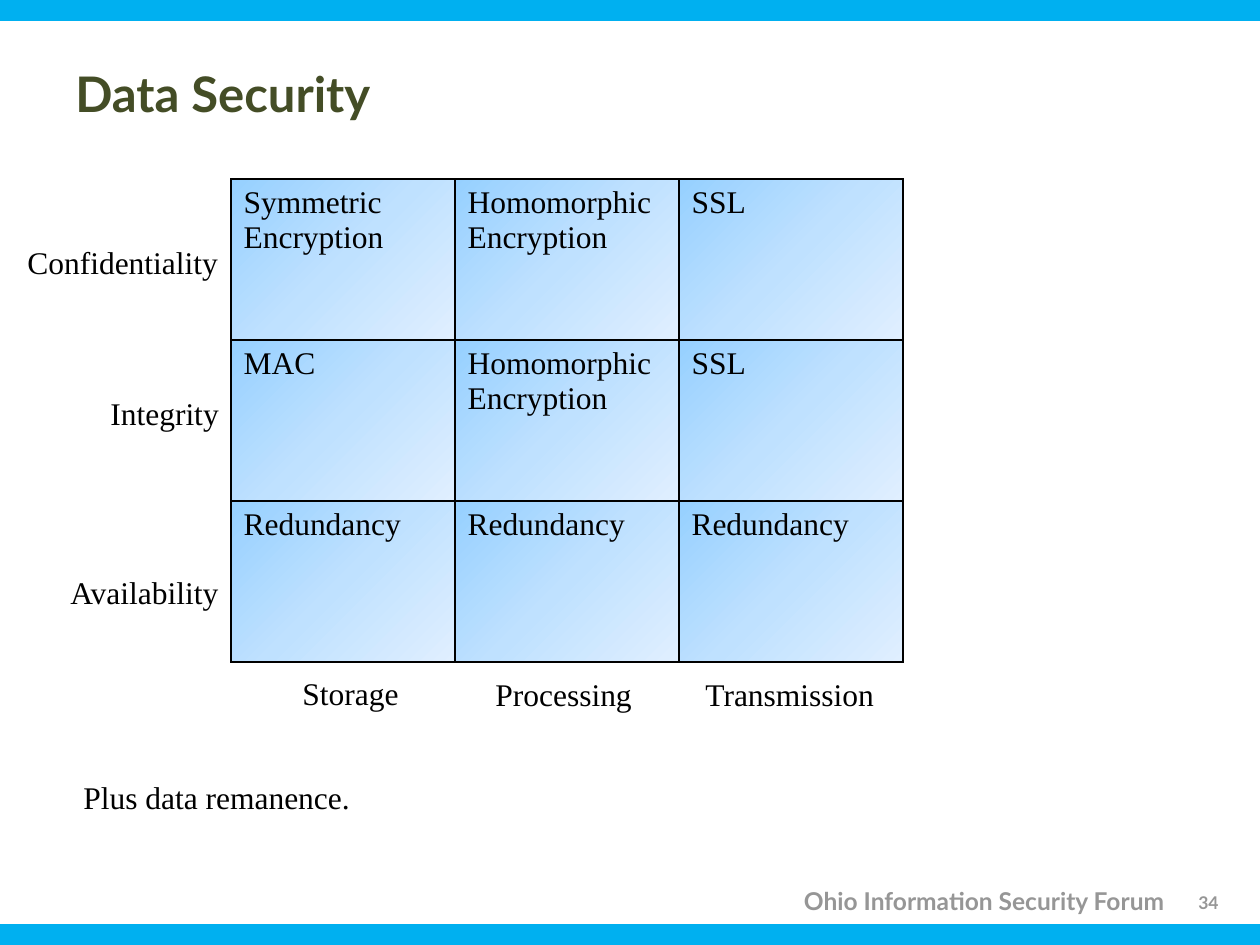
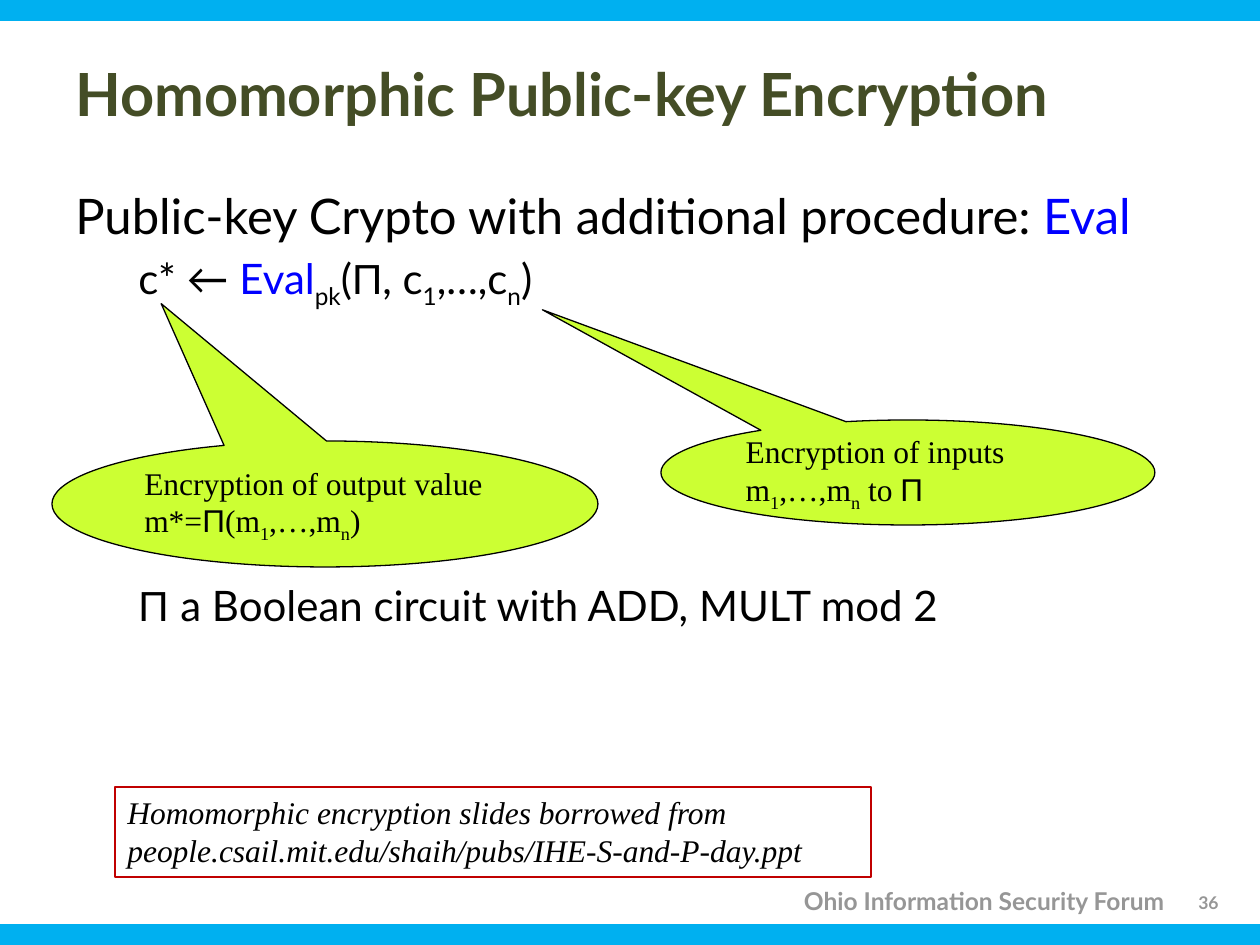
from dataclasses import dataclass, replace
from typing import NamedTuple, Optional, Sequence

from pptx import Presentation
from pptx.dml.color import RGBColor
from pptx.enum.shapes import MSO_SHAPE as Shape
from pptx.enum.text import MSO_ANCHOR as Anchor, PP_ALIGN as Align
from pptx.oxml import parse_xml
from pptx.oxml.ns import nsdecls
from pptx.util import Emu, Pt

PX_PER_INCH = 126
SUBSCRIPT = "-25000"


def px(length: int) -> Emu:
    return Emu(round(length * 914400 / PX_PER_INCH))


# Theme
@dataclass(frozen=True)
class TextStyle:
    size: int
    font: str
    color: str
    bold: bool = False
    italic: bool = False


@dataclass(frozen=True)
class Theme:
    band: str = "00B0F0"
    callout: str = "CCFF33"
    ink: str = "000000"
    accent: str = "0000FF"
    source_line: str = "C00000"
    cell_stops: tuple = ((0, "96D0FF"), (50, "BFE1FF"), (100, "E0EFFF"))
    cell_angle: int = 45
    symbol_font: str = "Arial"
    title: TextStyle = TextStyle(34, "Lato", "444D26", bold=True)
    lead: TextStyle = TextStyle(28, "Lato", "000000")
    detail: TextStyle = TextStyle(24, "Lato", "000000")
    label: TextStyle = TextStyle(18, "Times New Roman", "000000")
    source: TextStyle = TextStyle(18, "Times New Roman", "000000", italic=True)
    footer: TextStyle = TextStyle(14, "Lato", "969696", bold=True)
    number: TextStyle = TextStyle(10, "Lato", "969696", bold=True)


THEME = Theme()


# Repeated elements
class Frame(NamedTuple):
    left: int
    top: int
    width: int
    height: int

    def emu(self) -> list:
        return [px(length) for length in self]


class Span(NamedTuple):
    text: str
    color: Optional[str] = None
    font: Optional[str] = None
    lowered: bool = False


class Label(NamedTuple):
    text: str
    left: int
    top: int
    width: int


class Callout(NamedTuple):
    frame: Frame
    tip: tuple
    spans: Sequence[Span]


class BodyLine(NamedTuple):
    spans: Sequence[Span]
    style: TextStyle
    indent: int = 0
    space_before: int = 0


PAGE = Frame(0, 0, 1260, 945)
BAND_HEIGHT = 21
TITLE = Frame(63, 38, 1134, 110)
FOOTER = Frame(683, 880, 494, 43)
NUMBER = Frame(1181, 886, 55, 32)
LABEL_HEIGHT = 50

PI = Span("Π", font=THEME.symbol_font)
EVAL = Span("Eval", color=THEME.accent)


def sub(text: str) -> Span:
    return Span(text, lowered=True)


# Slide content
GRID = Frame(231, 179, 672, 483)
PROTECTIONS = (
    ("Symmetric Encryption", "Homomorphic Encryption", "SSL"),
    ("MAC", "Homomorphic Encryption", "SSL"),
    ("Redundancy", "Redundancy", "Redundancy"),
)
GRID_LABELS = (
    Label("Confidentiality", 15, 237, 218),
    Label("Integrity", 98, 388, 135),
    Label("Availability", 58, 567, 175),
    Label("Storage", 290, 668, 122),
    Label("Processing", 483, 669, 164),
    Label("Transmission", 693, 669, 195),
)
REMANENCE = Frame(71, 772, 562, LABEL_HEIGHT)

BODY = Frame(63, 179, 1134, 665)
BODY_LINES = (
    BodyLine([Span("Public-key Crypto with additional procedure: "), EVAL], THEME.lead),
    BodyLine(
        [Span("c* ← "), EVAL, sub("pk"), Span("("), PI, Span(", c"), sub("1"),
         Span(",…,c"), sub("n"), Span(")")],
        THEME.detail, indent=63, space_before=5),
    BodyLine(
        [PI._replace(text="Π "), Span("a Boolean circuit with ADD, MULT mod 2")],
        THEME.detail, indent=63, space_before=154),
)
CALLOUTS = (
    Callout(
        Frame(661, 420, 494, 105), (-0.74, -1.55),
        [Span("Encryption of inputs m"), sub("1"), Span(",…,m"), sub("n"),
         Span(" to "), PI]),
    Callout(
        Frame(52, 441, 546, 126), (-0.3, -1.59),
        [Span("Encryption of output value m*="), PI, Span("(m"), sub("1"),
         Span(",…,m"), sub("n"), Span(")")]),
)
SOURCE = Frame(115, 787, 756, 90)
SOURCE_TEXT = ("Homomorphic encryption slides borrowed from "
               "people.csail.mit.edu/shaih/pubs/IHE-S-and-P-day.ppt")


# Text
def format_run(run, style: TextStyle) -> None:
    font = run.font
    font.size = Pt(style.size)
    font.name = style.font
    font.bold = style.bold
    font.italic = style.italic
    font.color.rgb = RGBColor.from_string(style.color)


def write_spans(para, spans: Sequence[Span], style: TextStyle) -> None:
    for span in spans:
        run = para.add_run()
        run.text = span.text
        format_run(run, replace(style, color=span.color or style.color,
                                font=span.font or style.font))
        if span.lowered:
            run.font._element.set("baseline", SUBSCRIPT)


def add_text(page, frame: Frame, text: str, style: TextStyle,
             align=Align.LEFT, anchor=Anchor.TOP, wrap: bool = True):
    box = page.shapes.add_textbox(*frame.emu())
    text_frame = box.text_frame
    text_frame.word_wrap = wrap
    text_frame.vertical_anchor = anchor
    text_frame.text = text
    para = text_frame.paragraphs[0]
    para.alignment = align
    for run in para.runs:
        format_run(run, style)
    return box


# Shapes
def add_filled(page, kind, frame: Frame, color: str):
    shape = page.shapes.add_shape(kind, *frame.emu())
    shape.shadow.inherit = False
    shape.fill.solid()
    shape.fill.fore_color.rgb = RGBColor.from_string(color)
    shape.line.fill.background()
    return shape


def outline(shape, color: str) -> None:
    shape.line.color.rgb = RGBColor.from_string(color)
    shape.line.width = Pt(0.75)


def add_callout(page, callout: Callout) -> None:
    shape = add_filled(page, Shape.OVAL_CALLOUT, callout.frame, THEME.callout)
    outline(shape, THEME.ink)
    for index, offset in enumerate(callout.tip):
        shape.adjustments[index] = offset
    # Centre the lines vertically so that both stay inside the oval
    text_frame = shape.text_frame
    text_frame.word_wrap = True
    text_frame.vertical_anchor = Anchor.MIDDLE
    text_frame.margin_top = text_frame.margin_bottom = 0
    para = text_frame.paragraphs[0]
    para.alignment = Align.LEFT
    write_spans(para, callout.spans, THEME.label)


def style_cell(cell) -> None:
    """Add black borders and the diagonal gradient to a table cell."""
    properties = cell._tc.get_or_add_tcPr()
    for side in ("lnL", "lnR", "lnT", "lnB"):
        properties.append(parse_xml(
            f'<a:{side} {nsdecls("a")} w="12700"><a:solidFill>'
            f'<a:srgbClr val="{THEME.ink}"/></a:solidFill></a:{side}>'))
    stops = "".join(
        f'<a:gs pos="{percent * 1000}"><a:srgbClr val="{color}"/></a:gs>'
        for percent, color in THEME.cell_stops)
    properties.append(parse_xml(
        f'<a:gradFill {nsdecls("a")} rotWithShape="1"><a:gsLst>{stops}</a:gsLst>'
        f'<a:lin ang="{THEME.cell_angle * 60000}" scaled="0"/></a:gradFill>'))


def add_grid(page, frame: Frame, rows: Sequence[Sequence[str]]) -> None:
    table = page.shapes.add_table(len(rows), len(rows[0]), *frame.emu()).table
    table.first_row = False
    table.horz_banding = False
    for row_index, row in enumerate(rows):
        for column_index, text in enumerate(row):
            cell = table.cell(row_index, column_index)
            cell.text_frame.text = text
            format_run(cell.text_frame.paragraphs[0].runs[0], THEME.label)
            style_cell(cell)


# Slides
def add_page(deck, title: str, number: int, title_size: int):
    page = deck.slides.add_slide(deck.slide_layouts[6])
    for top in (0, PAGE.height - BAND_HEIGHT):
        add_filled(page, Shape.RECTANGLE, Frame(0, top, PAGE.width, BAND_HEIGHT), THEME.band)
    add_text(page, FOOTER, "Ohio Information Security Forum", THEME.footer, Align.RIGHT)
    add_text(page, NUMBER, str(number), THEME.number, Align.CENTER)
    add_text(page, TITLE, title, replace(THEME.title, size=title_size), anchor=Anchor.MIDDLE)
    return page


def build_data_security(deck) -> None:
    page = add_page(deck, "Data Security", 34, title_size=28)
    add_grid(page, GRID, PROTECTIONS)
    for label in GRID_LABELS:
        frame = Frame(label.left, label.top, label.width, LABEL_HEIGHT)
        add_text(page, frame, label.text, THEME.label, wrap=False)
    add_text(page, REMANENCE, "Plus data remanence.", THEME.label)


def build_homomorphic(deck) -> None:
    page = add_page(deck, "Homomorphic Public-key Encryption", 36, THEME.title.size)
    text_frame = page.shapes.add_textbox(*BODY.emu()).text_frame
    text_frame.word_wrap = True
    for index, line in enumerate(BODY_LINES):
        para = text_frame.add_paragraph() if index else text_frame.paragraphs[0]
        para._p.get_or_add_pPr().set("marL", str(px(line.indent)))
        para.space_before = Pt(line.space_before)
        write_spans(para, line.spans, line.style)
    for callout in CALLOUTS:
        add_callout(page, callout)
    outline(add_text(page, SOURCE, SOURCE_TEXT, THEME.source), THEME.source_line)


def main() -> None:
    deck = Presentation()
    deck.slide_width, deck.slide_height = px(PAGE.width), px(PAGE.height)
    build_data_security(deck)
    build_homomorphic(deck)
    deck.save("out.pptx")


if __name__ == "__main__":
    main()
